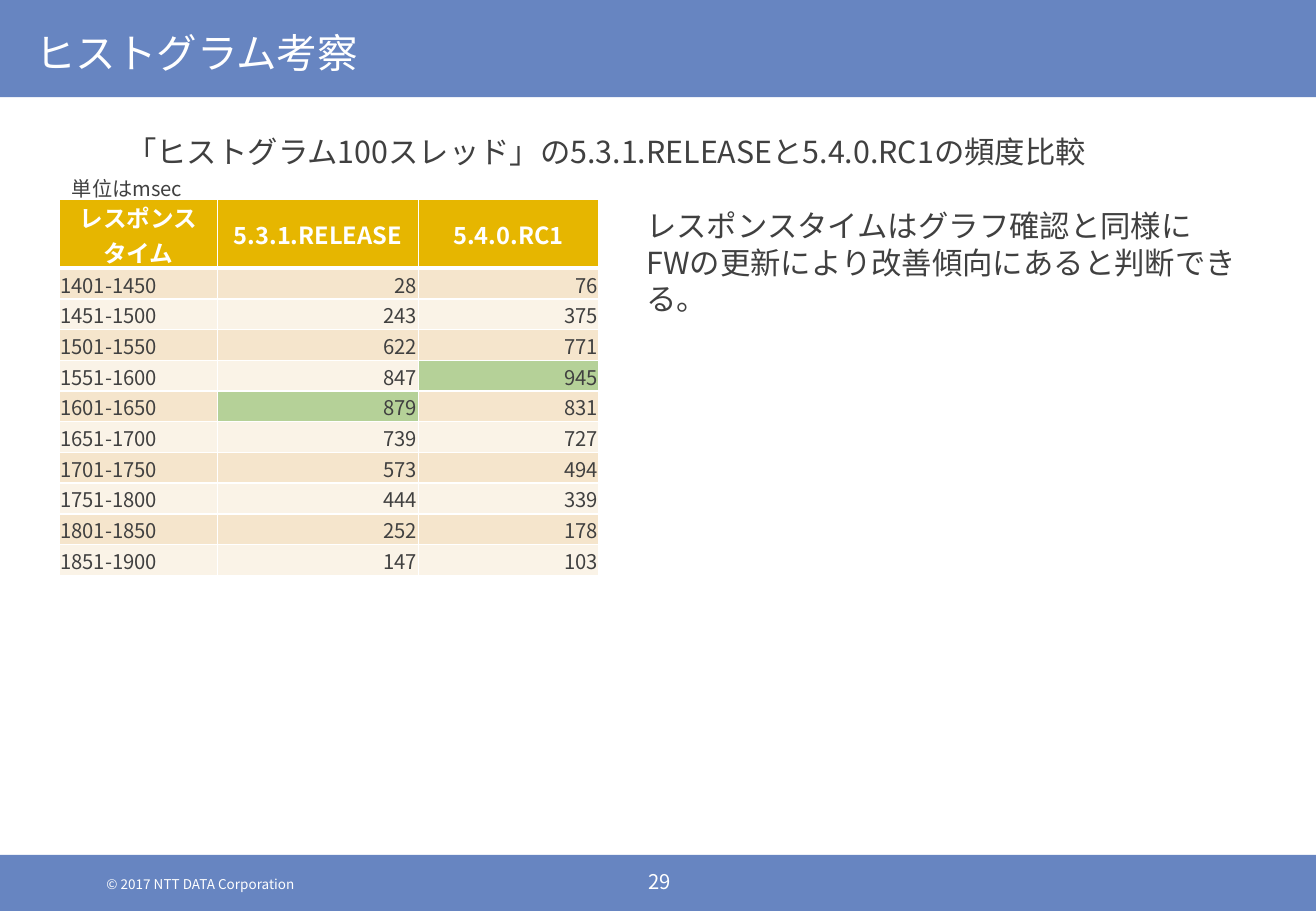
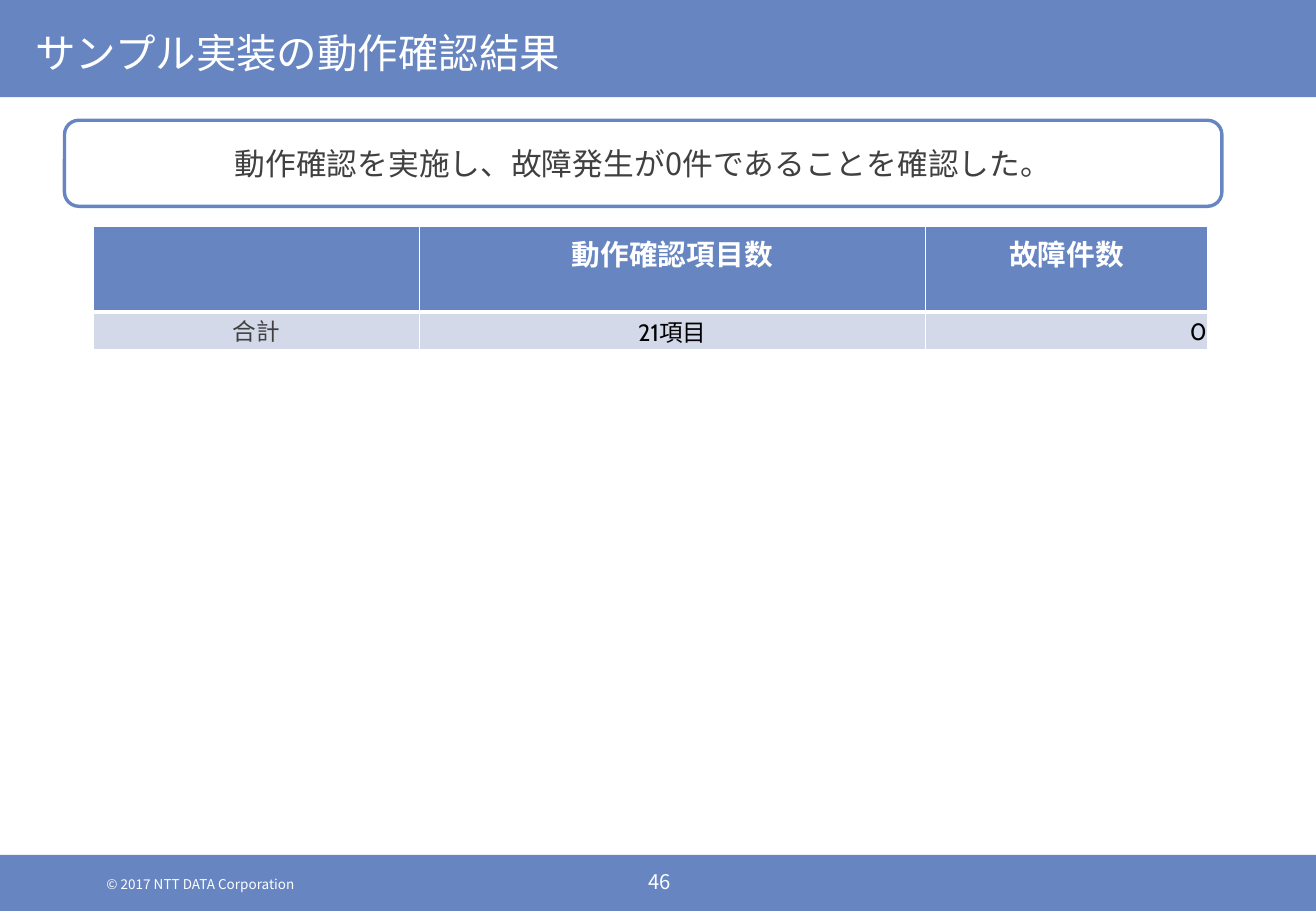
"""Build two report slides: a histogram review and a verification result."""
from lxml import etree
from pptx import Presentation
from pptx.dml.color import RGBColor
from pptx.enum.shapes import MSO_SHAPE
from pptx.enum.text import MSO_ANCHOR, MSO_AUTO_SIZE, PP_ALIGN
from pptx.oxml import parse_xml
from pptx.oxml.ns import nsdecls, qn
from pptx.util import Pt

RECTANGLE, ROUNDED = MSO_SHAPE.RECTANGLE, MSO_SHAPE.ROUNDED_RECTANGLE
TOP, MIDDLE, BOTTOM = MSO_ANCHOR.TOP, MSO_ANCHOR.MIDDLE, MSO_ANCHOR.BOTTOM
LEFT, CENTER, RIGHT = PP_ALIGN.LEFT, PP_ALIGN.CENTER, PP_ALIGN.RIGHT
NO_AUTOFIT = MSO_AUTO_SIZE.NONE


class Theme:
    font = "Noto Sans CJK JP"
    result_font = "Cabin"
    blue = RGBColor.from_string("6785C1")
    pale_blue = RGBColor.from_string("D3D9E9")
    gold = RGBColor.from_string("E6B600")
    sand = RGBColor.from_string("F5E5CC")
    cream = RGBColor.from_string("FAF3E7")
    green = RGBColor.from_string("B5D198")
    gray = RGBColor.from_string("404040")
    black = RGBColor.from_string("000000")
    white = RGBColor.from_string("FFFFFF")
    title_size = 24
    message_size = 18.2
    text_size = 18
    header_size = 17
    cell_size = 14
    small_size = 12
    footer_size = 8


def write(frame, text, size, color, align=LEFT, bold=False, font=Theme.font):
    frame.text = text
    frame.word_wrap = True
    for para in frame.paragraphs:
        para.alignment = align
        for span in para.runs:
            span.font.name = font
            span.font.size = Pt(size)
            span.font.bold = bold
            span.font.color.rgb = color
            east_asian = etree.SubElement(span.font._element, qn("a:ea"))
            east_asian.set("typeface", Theme.font)


def style_cell(cell, fill, anchor, inset, top_border, bottom_border):
    cell.margin_left, cell.margin_top, cell.margin_right, cell.margin_bottom = map(Pt, inset)
    cell.vertical_anchor = anchor
    properties = cell._tc.get_or_add_tcPr()
    for side, width in (("L", 1), ("R", 1), ("T", top_border), ("B", bottom_border)):
        properties.append(parse_xml(
            f'<a:ln{side} {nsdecls("a")} w="{Pt(width)}"><a:solidFill>'
            f'<a:srgbClr val="{Theme.white}"/></a:solidFill></a:ln{side}>'))
    cell.fill.solid()
    cell.fill.fore_color.rgb = fill


deck = Presentation()
deck.slide_width, deck.slide_height = Pt(780), Pt(540)
layout = deck.slide_layouts[5]
pages = []

for title, number in (("ヒストグラム考察", "29"), ("サンプル実装の動作確認結果", "46")):
    page = deck.slides.add_slide(layout)
    pages.append(page)
    heading = page.shapes.title
    heading.left, heading.top, heading.width, heading.height = Pt(13.7), Pt(0), Pt(754), Pt(57)
    write(heading.text_frame, title, Theme.title_size, Theme.white)
    heading.text_frame.auto_size = NO_AUTOFIT
    heading.text_frame.vertical_anchor = MIDDLE
    heading.text_frame.margin_top = Pt(8.6)
    heading.text_frame.margin_bottom = Pt(3.6)
    footers = (
        ("© 2017 NTT DATA Corporation", 56, 519, 130, Theme.footer_size, LEFT),
        (number, 365, 515.5, 52.5, Theme.small_size, CENTER),
    )
    for text, left, top, width, size, align in footers:
        box = page.shapes.add_textbox(Pt(left), Pt(top), Pt(width), Pt(size * 1.2))
        write(box.text_frame, text, size, Theme.white, align)
        box.text_frame.margin_top, box.text_frame.margin_bottom = Pt(0), Pt(0)

histogram_page, result_page = pages

for top, height in ((0, 57.6), (506.7, 33.3)):
    band = histogram_page.shapes.add_shape(RECTANGLE, Pt(0), Pt(top), Pt(780), Pt(height))
    band.shadow.inherit = False
    band.fill.solid()
    band.fill.fore_color.rgb = Theme.blue
    band.line.fill.background()
    layout.shapes._spTree.append(band._element)

histogram = [
    ("レスポンス\nタイム", "5.3.1.RELEASE", "5.4.0.RC1"),
    ("1401-1450", "28", "76"),
    ("1451-1500", "243", "375"),
    ("1501-1550", "622", "771"),
    ("1551-1600", "847", "945"),
    ("1601-1650", "879", "831"),
    ("1651-1700", "739", "727"),
    ("1701-1750", "573", "494"),
    ("1751-1800", "444", "339"),
    ("1801-1850", "252", "178"),
    ("1851-1900", "147", "103"),
]
peaks = {(4, 2), (5, 1)}
tight = (0.75, 0.75, 0.75, 0)
roomy = (7.2, 3.6, 7.2, 3.6)
header_height, row_height = 41, 18.2
table_height = header_height + row_height * (len(histogram) - 1)

table = histogram_page.shapes.add_table(
    len(histogram), 3, Pt(35), Pt(118), Pt(320), Pt(table_height)).table
table.horz_banding = False
for column, width in zip(table.columns, (94, 119, 107)):
    column.width = Pt(width)
for row, values in enumerate(histogram):
    table.rows[row].height = Pt(row_height if row else header_height)
    for column, value in enumerate(values):
        cell = table.cell(row, column)
        if row == 0:
            style_cell(cell, Theme.gold, MIDDLE, tight, 1, 3)
            write(cell.text_frame, value, Theme.cell_size, Theme.white, CENTER, True)
            continue
        fill = Theme.sand if row % 2 else Theme.cream
        if (row, column) in peaks:
            fill = Theme.green
        style_cell(cell, fill, BOTTOM, tight, 3 if row == 1 else 1, 1)
        write(cell.text_frame, value, Theme.small_size, Theme.gray, RIGHT if column else LEFT)

notes = (
    ("「ヒストグラム100スレッド」の5.3.1.RELEASEと5.4.0.RC1の頻度比較",
     67.7, 75.6, 663, 29, Theme.text_size),
    ("レスポンスタイムはグラフ確認と同様に\nFWの更新により改善傾向にあると判断できる。",
     376, 119.5, 376.5, 51, Theme.text_size),
    ("単位はmsec", 35.5, 100.8, 121, 21.6, Theme.small_size),
)
for text, left, top, width, height, size in notes:
    box = histogram_page.shapes.add_textbox(Pt(left), Pt(top), Pt(width), Pt(height))
    write(box.text_frame, text, size, Theme.gray)

table = result_page.shapes.add_table(2, 3, Pt(55.5), Pt(134), Pt(660.5), Pt(73.4)).table
table.horz_banding = False
for column, width in zip(table.columns, (193, 300, 167.5)):
    column.width = Pt(width)
for row, height in zip(table.rows, (51, 22.4)):
    row.height = Pt(height)
for column, text in enumerate(("", "動作確認項目数", "故障件数")):
    cell = table.cell(0, column)
    style_cell(cell, Theme.blue, TOP, roomy, 1, 3)
    write(cell.text_frame, text, Theme.header_size, Theme.white, CENTER, True)
totals = (
    ("合計", Theme.gray, Theme.font, CENTER, TOP),
    ("21項目", Theme.black, Theme.result_font, CENTER, MIDDLE),
    ("0", Theme.black, Theme.result_font, RIGHT, MIDDLE),
)
for column, (text, color, font, align, anchor) in enumerate(totals):
    cell = table.cell(1, column)
    style_cell(cell, Theme.pale_blue, anchor, tight, 3, 1)
    write(cell.text_frame, text, Theme.cell_size, color, align, font=font)

message = result_page.shapes.add_shape(ROUNDED, Pt(38.2), Pt(71.3), Pt(686), Pt(51))
message.shadow.inherit = False
message.fill.solid()
message.fill.fore_color.rgb = Theme.white
message.line.color.rgb = Theme.blue
message.line.width = Pt(2)
write(message.text_frame, "動作確認を実施し、故障発生が0件であることを確認した。",
      Theme.message_size, Theme.gray, CENTER)
message.text_frame.vertical_anchor = MIDDLE

deck.save("out.pptx")
